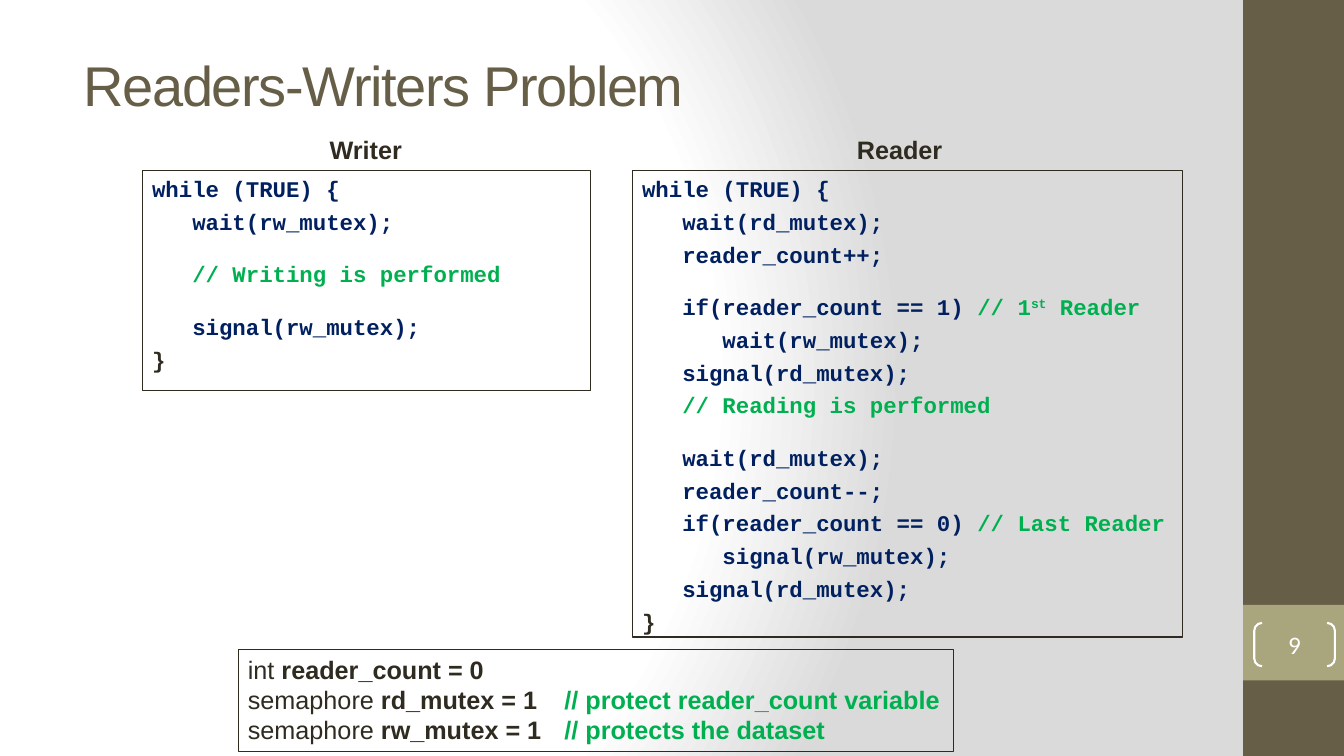
from dataclasses import dataclass

import pptx
import pptx.dml.color
import pptx.enum.shapes
import pptx.enum.text
import pptx.oxml
import pptx.oxml.ns
import pptx.util

Inches, Pt = pptx.util.Inches, pptx.util.Pt
SHAPE = pptx.enum.shapes.MSO_SHAPE
ALIGN = pptx.enum.text.PP_ALIGN
ANCHOR = pptx.enum.text.MSO_ANCHOR


@dataclass(frozen=True)
class Theme:
    brown: str = "675E47"
    olive: str = "A9A57C"
    ink: str = "2F2B20"
    navy: str = "002060"
    green: str = "00B050"
    white: str = "FFFFFF"
    grey: str = "DADADA"
    sans: str = "Arial"
    mono: str = "Courier New"
    number_font: str = "Calibri"
    title_size: int = 40
    text_size: int = 18
    code_size: int = 16
    line_gap: float = 4.2
    block_gap: float = 18.3


THEME = Theme()

# Run styles: colour, bold, superscript
STYLES = {
    "code": (THEME.navy, True, False),
    "note": (THEME.green, True, False),
    "super": (THEME.green, True, True),
    "strong": (THEME.ink, True, False),
    "plain": (THEME.ink, False, False),
}

TITLE = "Readers-Writers Problem"
PAGE_NUMBER = "9"

# Each block is a list of lines, each line a list of (text, style)
WRITER_BLOCKS = [
    [
        [("while (TRUE) {", "code")],
        [("   wait(rw_mutex);", "code")],
    ],
    [[("   // Writing is performed", "note")]],
    [
        [("   signal(rw_mutex);", "code")],
        [("}", "strong")],
    ],
]
READER_BLOCKS = [
    [
        [("while (TRUE) {", "code")],
        [("   wait(rd_mutex);", "code")],
        [("   reader_count++;", "code")],
    ],
    [
        [("   if(reader_count == 1) ", "code"), ("// 1", "note"),
         ("st", "super"), (" Reader", "note")],
        [("      wait(rw_mutex);", "code")],
        [("   signal(rd_mutex);", "code")],
        [("   // Reading is performed", "note")],
    ],
    [
        [("   wait(rd_mutex);", "code")],
        [("   reader_count--;", "code")],
        [("   if(reader_count == 0) ", "code"), ("// Last Reader", "note")],
        [("      signal(rw_mutex);", "code")],
        [("   signal(rd_mutex);", "code")],
        [("}", "strong")],
    ],
]
DECLARATIONS = [
    [("int ", "plain"), ("reader_count = 0", "strong")],
    [("semaphore ", "plain"), ("rd_mutex = 1\t", "strong"),
     ("// protect reader_count variable", "note")],
    [("semaphore ", "plain"), ("rw_mutex = 1\t", "strong"),
     ("// protects the dataset", "note")],
]

# Heading, heading left and width, code box left, width and height, code
COLUMNS = [
    ("Writer", 3.17, 0.92, 1.41, 4.45, 2.18, WRITER_BLOCKS),
    ("Reader", 8.4, 1.05, 6.27, 5.46, 4.63, READER_BLOCKS),
]
HEADING_TOP, HEADING_HEIGHT = 1.28, 0.41
CODE_TOP = HEADING_TOP + HEADING_HEIGHT
CODE_INDENT = 0.38
DECLARATIONS_AREA = (2.36, 6.44, 7.09, 1.01)
COMMENT_TAB = 3.14
SIDEBAR_LEFT, SIDEBAR_WIDTH = 12.33, 1


def rgb(colour):
    return pptx.dml.color.RGBColor.from_string(colour)


def style_run(run, font, size, colour, bold=False):
    run.font.name = font
    run.font.size = Pt(size)
    run.font.bold = bold
    run.font.color.rgb = rgb(colour)


def add_box(slide, kind, area, fill=None, line=None, line_width=0.75):
    box = slide.shapes.add_shape(kind, *map(Inches, area))
    box.shadow.inherit = False
    if fill:
        box.fill.solid()
        box.fill.fore_color.rgb = rgb(fill)
    else:
        box.fill.background()
    if line:
        box.line.color.rgb = rgb(line)
        box.line.width = Pt(line_width)
    else:
        box.line.fill.background()
    box.text_frame.vertical_anchor = ANCHOR.TOP
    return box


def add_line(frame, runs, font, size, first):
    paragraph = frame.paragraphs[0] if first else frame.add_paragraph()
    paragraph.alignment = ALIGN.LEFT
    for text, style in runs:
        colour, bold, superscript = STYLES[style]
        run = paragraph.add_run()
        run.text = text
        style_run(run, font, size, colour, bold)
        if superscript:
            run.font._element.set("baseline", "30000")
    return paragraph


def add_code(slide, area, blocks):
    frame = add_box(slide, SHAPE.RECTANGLE, area, line=THEME.ink).text_frame
    frame.word_wrap = True
    for block_index, block in enumerate(blocks):
        for line_index, runs in enumerate(block):
            first = block_index == line_index == 0
            paragraph = add_line(frame, runs, THEME.mono, THEME.code_size, first)
            properties = paragraph._p.get_or_add_pPr()
            properties.set("marL", str(Inches(CODE_INDENT)))
            properties.set("indent", str(-Inches(CODE_INDENT)))
            gap = THEME.line_gap if line_index else THEME.block_gap
            paragraph.space_before = Pt(0 if first else gap)


def add_declarations(slide):
    frame = add_box(slide, SHAPE.RECTANGLE, DECLARATIONS_AREA,
                    line=THEME.ink, line_width=0.25).text_frame
    frame.word_wrap = True
    for index, runs in enumerate(DECLARATIONS):
        paragraph = add_line(frame, runs, THEME.sans, THEME.text_size, index == 0)
        paragraph._p.get_or_add_pPr().append(pptx.oxml.parse_xml(
            f'<a:tabLst {pptx.oxml.ns.nsdecls("a")}>'
            f'<a:tab pos="{Inches(COMMENT_TAB)}" algn="l"/></a:tabLst>'))


def add_heading(slide, text, area):
    frame = slide.shapes.add_textbox(*map(Inches, area)).text_frame
    frame.word_wrap = False
    add_line(frame, [(text, "strong")], THEME.sans, THEME.text_size, True)


def paint_background(slide):
    """Fill the slide with a circular gradient from white to grey."""
    slide.background.fill.solid()
    solid = slide._element.find(".//" + pptx.oxml.ns.qn("p:bgPr"))[0]
    stops = "".join(
        f'<a:gs pos="{percent * 1000}"><a:srgbClr val="{colour}"/></a:gs>'
        for percent, colour in [(0, THEME.white), (75, THEME.white), (100, THEME.grey)])
    gradient = pptx.oxml.parse_xml(
        f'<a:gradFill {pptx.oxml.ns.nsdecls("a")} rotWithShape="1">'
        f'<a:gsLst>{stops}</a:gsLst><a:path path="circle">'
        '<a:fillToRect l="20000" t="50000" r="100000" b="50000"/>'
        '</a:path></a:gradFill>')
    solid.getparent().replace(solid, gradient)


def add_sidebar(slide):
    for top, height, colour in [(0, 7.5, THEME.brown), (6, 0.75, THEME.olive)]:
        add_box(slide, SHAPE.RECTANGLE,
                (SIDEBAR_LEFT, top, SIDEBAR_WIDTH, height), fill=colour)
    brackets = add_box(slide, SHAPE.DOUBLE_BRACKET, (12.44, 6.18, 0.8, 0.43),
                       line=THEME.white, line_width=1.5)
    brackets.adjustments[0] = 0.18
    frame = brackets.text_frame
    frame.margin_left = frame.margin_right = frame.margin_top = frame.margin_bottom = 0
    frame.vertical_anchor = ANCHOR.MIDDLE
    frame.text = PAGE_NUMBER
    number = frame.paragraphs[0]
    number.alignment = ALIGN.CENTER
    style_run(number.runs[0], THEME.number_font, THEME.text_size, THEME.white)


def set_title(slide):
    title = slide.shapes.title
    title.left, title.top, title.width, title.height = map(Inches, (0.73, 0.61, 11.7, 0.45))
    frame = title.text_frame
    frame.text = TITLE
    frame.vertical_anchor = ANCHOR.MIDDLE
    frame.auto_size = pptx.enum.text.MSO_AUTO_SIZE.NONE
    frame.paragraphs[0].alignment = ALIGN.LEFT
    run = frame.paragraphs[0].runs[0]
    style_run(run, THEME.sans, THEME.title_size, THEME.brown)
    run.font._element.set("spc", "-100")


def main():
    deck = pptx.Presentation()
    deck.slide_width, deck.slide_height = Inches(13.33), Inches(7.5)
    slide = deck.slides.add_slide(deck.slide_layouts[5])
    paint_background(slide)
    add_sidebar(slide)
    set_title(slide)
    for heading, heading_left, heading_width, left, width, height, blocks in COLUMNS:
        add_heading(slide, heading,
                    (heading_left, HEADING_TOP, heading_width, HEADING_HEIGHT))
        add_code(slide, (left, CODE_TOP, width, height), blocks)
    add_declarations(slide)
    deck.save("out.pptx")


if __name__ == "__main__":
    main()
